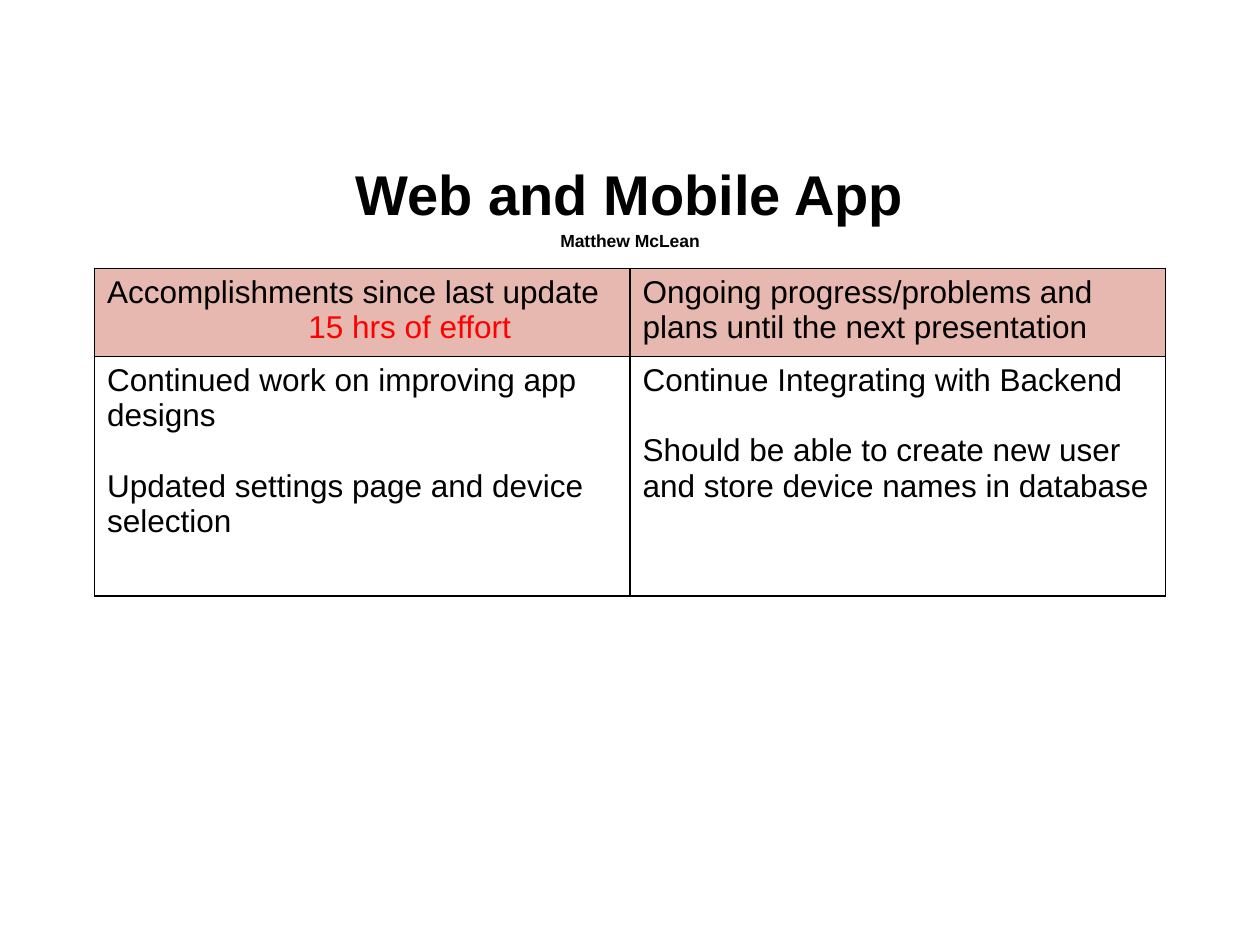
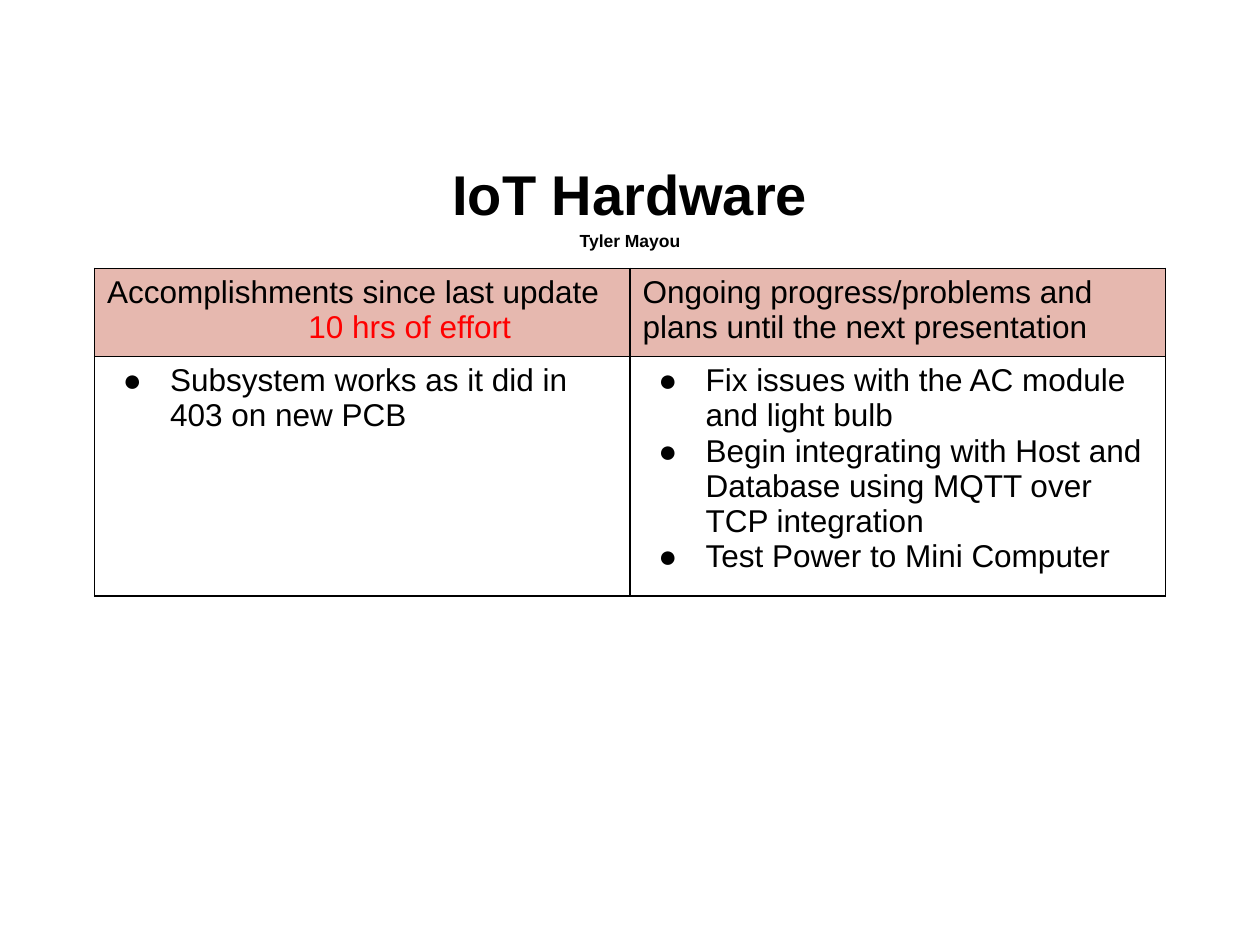
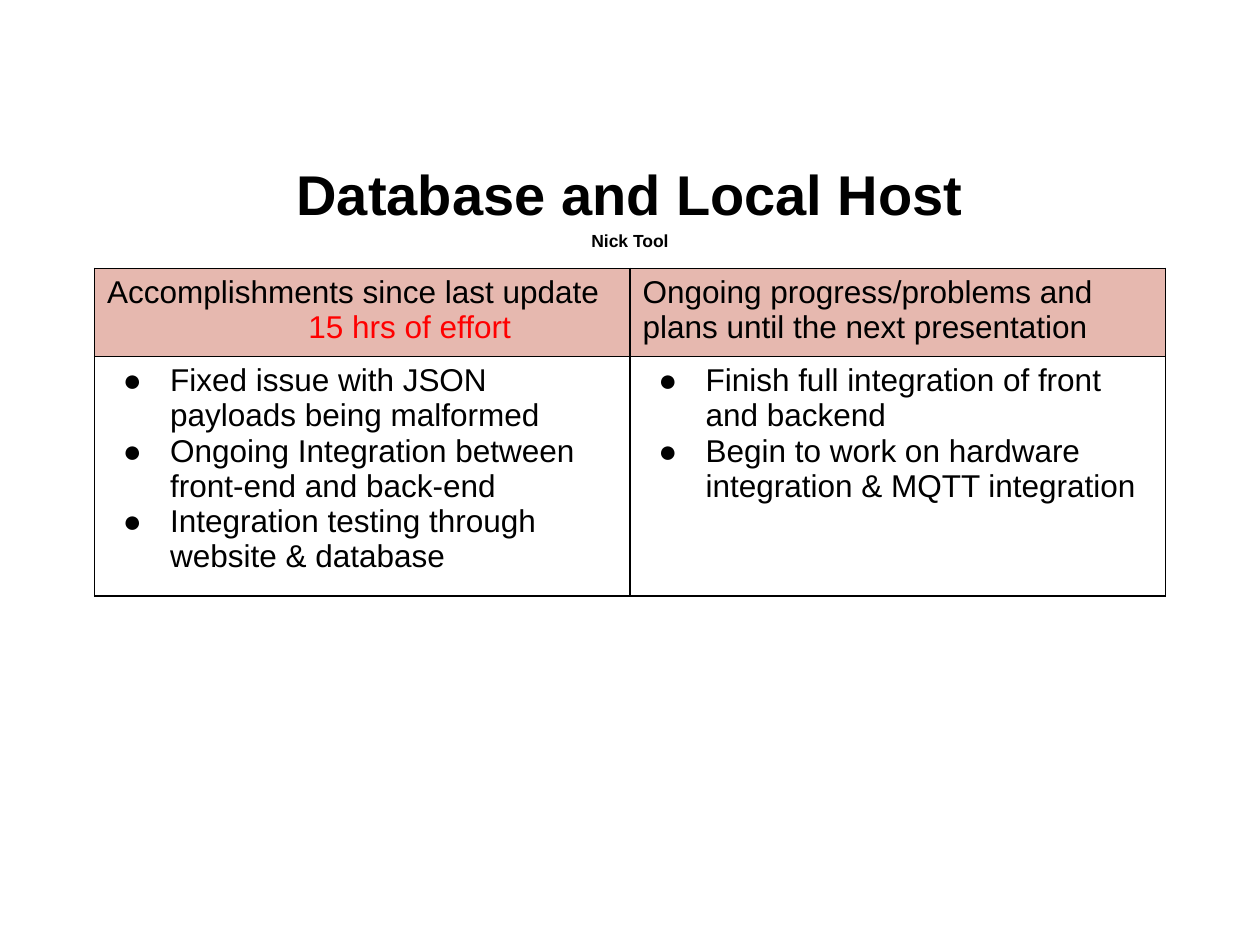
from dataclasses import dataclass

from lxml.etree import SubElement
from pptx import Presentation
from pptx.dml.color import RGBColor
from pptx.enum.text import MSO_ANCHOR, PP_ALIGN
from pptx.oxml.ns import qn
from pptx.util import Pt


@dataclass(frozen=True)
class Theme:
    face: str = "Arial"
    ink: str = "000000"
    alert: str = "FF0000"
    head: str = "E6B8AF"
    title: int = 32
    name: int = 10
    text: int = 18
    line: int = 1


THEME = Theme()
PAGE = (720, 540)
TITLE_BOX = (36, 82.8, 648, 63.4)
TABLE_BOX = (54, 153.4, 612, 187.2)
HEAD_TALL = 50.4
INSETS = {
    "margin_left": Pt(7.2), "margin_right": Pt(7.2),
    "margin_top": Pt(3.6), "margin_bottom": Pt(3.6),
}
TITLE_FRAME = {**INSETS, "word_wrap": True, "vertical_anchor": MSO_ANCHOR.MIDDLE}
TITLE_PARA = {"alignment": PP_ALIGN.CENTER, "line_spacing": 1.15}
DONE = "Accomplishments since last update"
NEXT = "Ongoing progress/problems and plans until the next presentation"

SLIDES = [
    {
        "title": "Web and Mobile App",
        "name": "Matthew McLean",
        "hours": 15,
        "dots": False,
        "done": [
            "Continued work on improving app designs",
            "Updated settings page and device selection",
        ],
        "next": [
            "Continue Integrating with Backend",
            "Should be able to create new user and store device names in database",
        ],
    },
    {
        "title": "IoT Hardware",
        "name": "Tyler Mayou",
        "hours": 10,
        "dots": True,
        "done": ["Subsystem works as it did in 403 on new PCB"],
        "next": [
            "Fix issues with the AC module and light bulb",
            "Begin integrating with Host and Database using MQTT over TCP integration",
            "Test Power to Mini Computer",
        ],
    },
    {
        "title": "Database and Local Host",
        "name": "Nick Tool",
        "hours": 15,
        "dots": True,
        "done": [
            "Fixed issue with JSON payloads being malformed",
            "Ongoing Integration between front-end and back-end",
            "Integration testing through website & database",
        ],
        "next": [
            "Finish full integration of front and backend",
            "Begin to work on hardware integration & MQTT integration",
        ],
    },
]


def apply(item, form):
    for key, value in form.items():
        setattr(item, key, value)


def indent(para, left, first=0):
    props = para._p.get_or_add_pPr()
    props.set("marL", str(Pt(left)))
    props.set("indent", str(Pt(first)))
    return props


def add_dot(para):
    props = indent(para, 36, -27)
    tint = SubElement(props, qn("a:buClr"))
    SubElement(tint, qn("a:srgbClr"), val=THEME.ink)
    SubElement(props, qn("a:buFont"), typeface=THEME.face)
    SubElement(props, qn("a:buChar"), char="●")


def add_text(frame, index, text, size, color=THEME.ink, bold=False):
    para = frame.add_paragraph() if index else frame.paragraphs[0]
    run = para.add_run()
    run.text = text
    apply(run.font, {"name": THEME.face, "size": Pt(size), "bold": bold})
    run.font.color.rgb = RGBColor.from_string(color)
    return para


def add_edges(cell):
    props = cell._tc.get_or_add_tcPr()
    for side in ("lnL", "lnR", "lnT", "lnB"):
        edge = SubElement(props, qn(f"a:{side}"), w=str(Pt(THEME.line)))
        fill = SubElement(edge, qn("a:solidFill"))
        SubElement(fill, qn("a:srgbClr"), val=THEME.ink)


def add_title(slide, box, title, name):
    frame = slide.shapes.add_textbox(*map(Pt, box)).text_frame
    apply(frame, TITLE_FRAME)
    for index, (text, size) in enumerate([(title, THEME.title), (name, THEME.name)]):
        apply(add_text(frame, index, text, size, bold=True), TITLE_PARA)


def fill_head(cells, hours):
    for cell, text in zip(cells, (DONE, NEXT)):
        cell.fill.solid()
        cell.fill.fore_color.rgb = RGBColor.from_string(THEME.head)
        add_text(cell.text_frame, 0, text, THEME.text)
    effort = f"{hours} hrs of effort"
    indent(add_text(cells[0].text_frame, 1, effort, THEME.text, THEME.alert), 115)


def fill_body(cell, lines, dots):
    cell.fill.background()
    for index, text in enumerate(lines):
        para = add_text(cell.text_frame, index, text, THEME.text)
        if dots:
            add_dot(para)
        elif index:
            para.space_before = Pt(20)


def add_grid(slide, box, data):
    table = slide.shapes.add_table(2, 2, *map(Pt, box)).table
    apply(table, {"first_row": False, "horz_banding": False})
    for col in table.columns:
        col.width = Pt(box[2] / 2)
    for row, tall in zip(table.rows, (HEAD_TALL, box[3] - HEAD_TALL)):
        row.height = Pt(tall)
    for cell in table.iter_cells():
        apply(cell, INSETS)
        add_edges(cell)
    fill_head([table.cell(0, col) for col in range(2)], data["hours"])
    for col, key in enumerate(("done", "next")):
        fill_body(table.cell(1, col), data[key], data["dots"])


def main():
    deck = Presentation()
    apply(deck, {"slide_width": Pt(PAGE[0]), "slide_height": Pt(PAGE[1])})
    for data in SLIDES:
        slide = deck.slides.add_slide(deck.slide_layouts[6])
        add_title(slide, TITLE_BOX, data["title"], data["name"])
        add_grid(slide, TABLE_BOX, data)
    deck.save("out.pptx")


if __name__ == "__main__":
    main()
